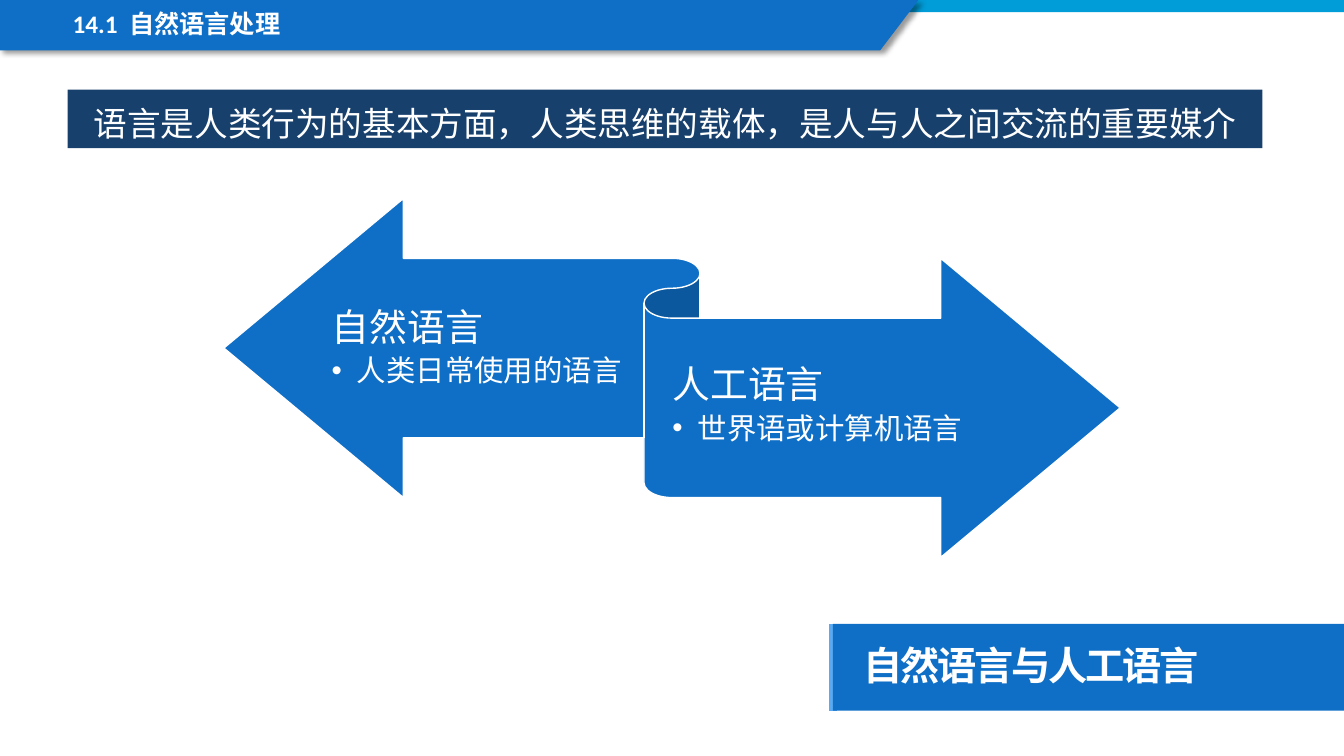
"""Build the slide on natural and artificial languages."""
from dataclasses import dataclass

from lxml import etree
from pptx import Presentation
from pptx import util as u
from pptx.dml.color import RGBColor
from pptx.enum import shapes, text
from pptx.oxml import ns

SCALE = 9144
BLUE = RGBColor(0x0F, 0x6F, 0xC6)
NAVY = RGBColor(0x17, 0x40, 0x6D)
CYAN = RGBColor(0x00, 0x9D, 0xD9)
SKY = RGBColor(0x59, 0xAA, 0xF2)
WHITE = RGBColor(0xFF, 0xFF, 0xFF)
CJK = "Noto Sans CJK SC"
TOP, MIDDLE = text.MSO_ANCHOR.TOP, text.MSO_ANCHOR.MIDDLE


@dataclass(frozen=True)
class Box:
    left: int
    top: int
    width: int
    height: int

    def emu(self) -> list[int]:
        return [px(v) for v in (self.left, self.top, self.width, self.height)]


@dataclass(frozen=True)
class Language:
    box: Box
    name: str
    detail: str


LANGUAGES = (
    Language(Box(329, 259, 293, 174), "自然语言", "人类日常使用的语言"),
    Language(Box(667, 316, 347, 174), "人工语言", "世界语或计算机语言"),
)


def px(value: int) -> u.Emu:
    return u.Emu(value * SCALE)


def add_child(parent, tag: str, **attributes: str):
    return etree.SubElement(parent, ns.qn(tag), attributes)


def add_block(s, kind, box: Box, fill: RGBColor):
    sp = s.shapes.add_shape(kind, *box.emu())
    sp.shadow.inherit = False
    sp.fill.solid()
    sp.fill.fore_color.rgb = fill
    sp.line.fill.background()
    return sp


def set_frame(tf, anchor, insets: tuple = (10, 5, 10, 5)) -> None:
    tf.word_wrap = True
    tf.auto_size = text.MSO_AUTO_SIZE.NONE
    tf.vertical_anchor = anchor
    tf.margin_left, tf.margin_top, tf.margin_right, tf.margin_bottom = map(px, insets)


def write(p, words: str, *, size: int, font: str = "Calibri", bold: bool = False,
          align=text.PP_ALIGN.LEFT, leading: float = 0.9, after: int = 0,
          bullet: bool = False, tracking: int = 0) -> None:
    p.alignment = align
    p.line_spacing = leading
    p.space_before, p.space_after = u.Pt(0), u.Pt(after)
    if bullet:
        pPr = p._p.get_or_add_pPr()
        pPr.set("marL", str(px(25)))
        pPr.set("indent", str(px(-25)))
        add_child(pPr, "a:buFont", typeface="Arial")
        add_child(pPr, "a:buChar", char="•")
    r = p.add_run()
    r.text = words
    r.font.size = u.Pt(size)
    r.font.bold = bold
    r.font.color.rgb = WHITE
    r.font.name = font
    rPr = r._r.get_or_add_rPr()
    if tracking:
        rPr.set("spc", str(tracking))
    add_child(rPr, "a:ea", typeface=CJK)


def add_banner(s) -> None:
    add_block(s, shapes.MSO_SHAPE.RECTANGLE, Box(0, 0, 1333, 12), CYAN)
    builder = s.shapes.build_freeform(0, 0, scale=SCALE)
    builder.add_line_segments([(911, 0), (873, 50), (0, 50)], close=True)
    sp = builder.convert_to_shape()
    sp.fill.solid()
    sp.fill.fore_color.rgb = BLUE
    sp.line.fill.background()
    effects = add_child(sp._element.spPr, "a:effectLst")
    shadow = add_child(effects, "a:outerShdw", blurRad=str(u.Pt(4)), dist=str(u.Pt(3)),
                       dir="2700000", algn="tl", rotWithShape="0")
    color = add_child(shadow, "a:srgbClr", val="000000")
    add_child(color, "a:alpha", val="40000")


def add_title(s) -> None:
    title = s.shapes.title
    title.left, title.top, title.width, title.height = Box(62, 7, 696, 38).emu()
    set_frame(title.text_frame, TOP)
    write(title.text_frame.paragraphs[0], "14.1  自然语言处理", size=18, bold=True)
    s.shapes.element.append(title.element)


def add_topic(s) -> None:
    accent = s.shapes.add_connector(shapes.MSO_CONNECTOR.STRAIGHT,
                                    px(826), px(705), px(826), px(619))
    accent.line.color.rgb = SKY
    accent.line.width = u.Pt(6)
    add_child(accent._element.spPr, "a:effectLst")
    sp = add_block(s, shapes.MSO_SHAPE.RECTANGLE, Box(826, 619, 507, 86), BLUE)
    set_frame(sp.text_frame, MIDDLE, (30, 20, 20, 20))
    write(sp.text_frame.paragraphs[0], "自然语言与人工语言", size=28, font=CJK,
          bold=True, tracking=-150)


def add_statement(s) -> None:
    sp = add_block(s, shapes.MSO_SHAPE.RECTANGLE, Box(67, 89, 1185, 58), NAVY)
    set_frame(sp.text_frame, TOP)
    write(sp.text_frame.paragraphs[0],
          "语言是人类行为的基本方面，人类思维的载体，是人与人之间交流的重要媒介",
          size=24, align=text.PP_ALIGN.CENTER, leading=1.2)


def add_language(s, language: Language) -> None:
    tf = s.shapes.add_textbox(*language.box.emu()).text_frame
    set_frame(tf, MIDDLE, (0, 10, 0, 11))
    write(tf.paragraphs[0], language.name, size=27, after=5)
    p = tf.add_paragraph()
    p.level = 1
    write(p, language.detail, size=21, after=3, bullet=True)


def main() -> None:
    prs = Presentation()
    prs.slide_width, prs.slide_height = u.Inches(13.33), u.Inches(7.5)
    s = prs.slides.add_slide(prs.slide_layouts[5])
    add_banner(s)
    add_title(s)
    add_topic(s)
    add_statement(s)
    ribbon = add_block(s, shapes.MSO_SHAPE.LEFT_RIGHT_RIBBON, Box(222, 197, 889, 356), BLUE)
    ribbon.line.color.rgb = WHITE
    ribbon.line.width = u.Pt(1)
    for language in LANGUAGES:
        add_language(s, language)
    prs.save("out.pptx")


if __name__ == "__main__":
    main()
